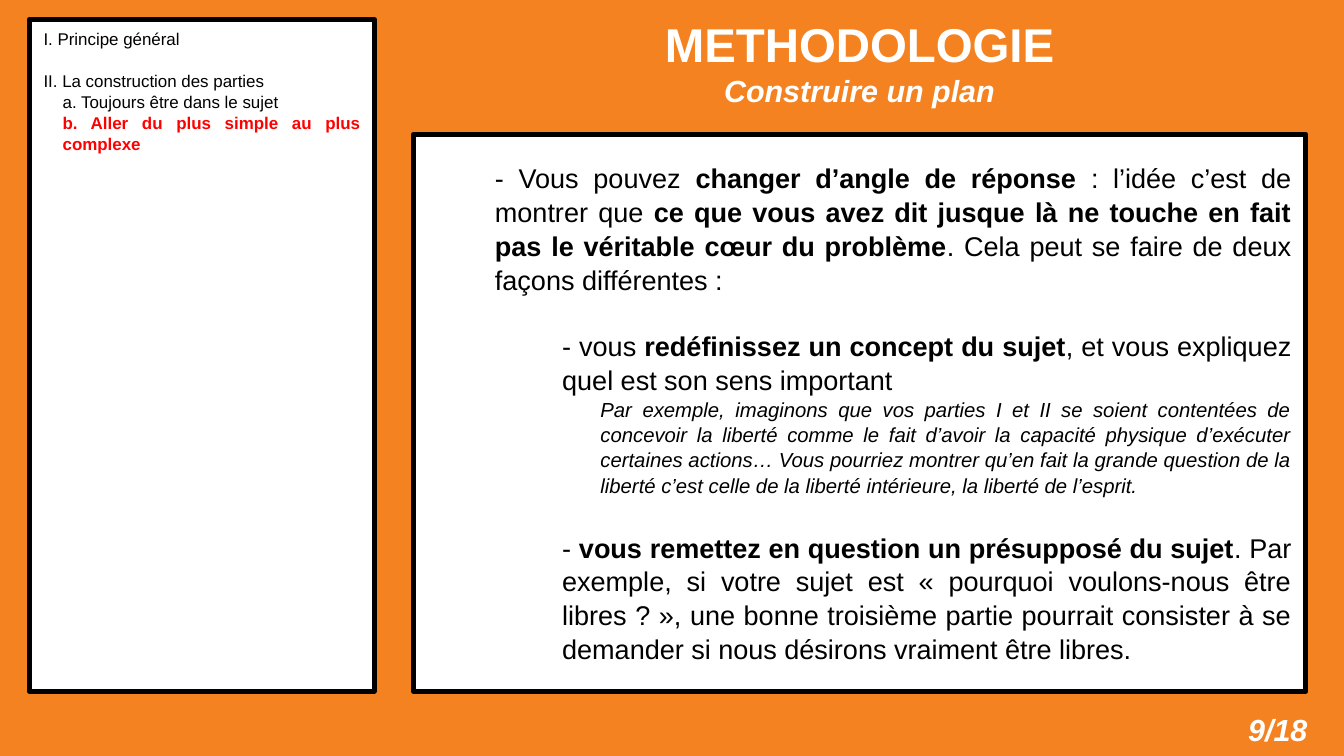
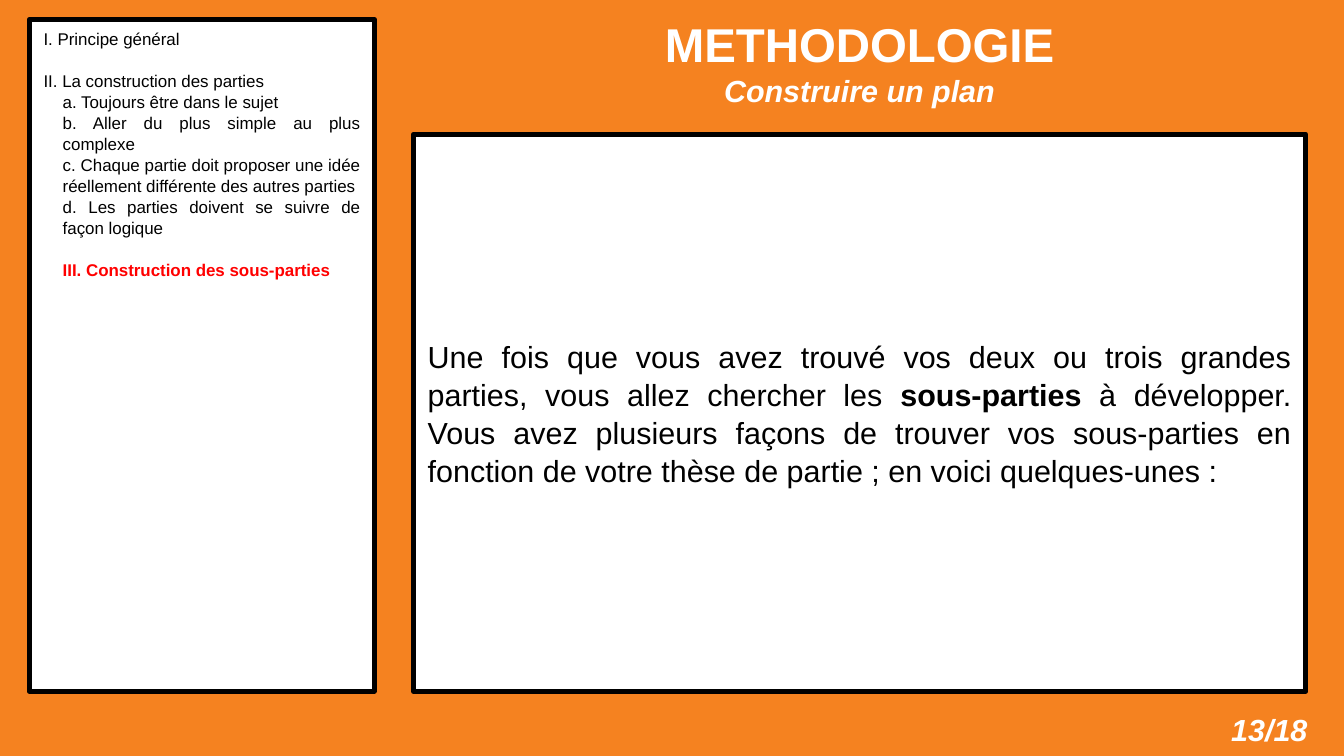
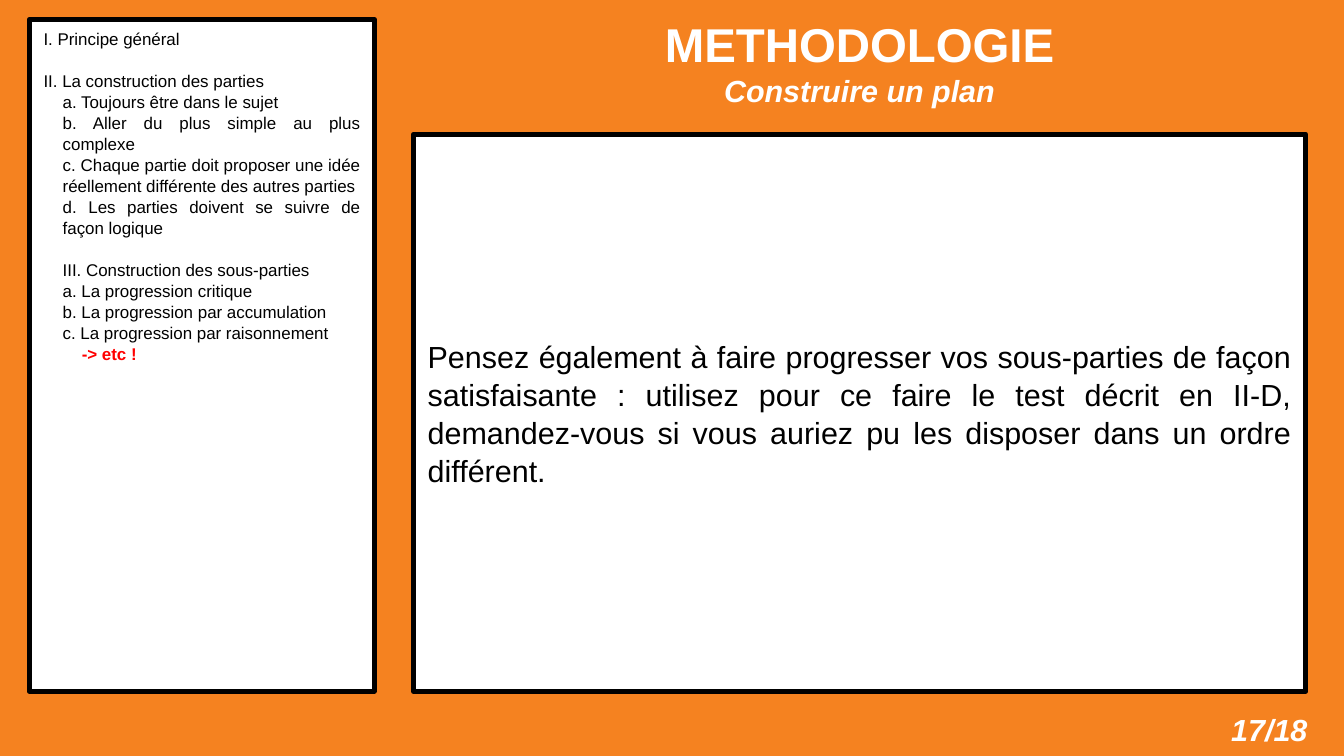
from dataclasses import dataclass
from typing import NamedTuple

from lxml import etree
from pptx import Presentation
from pptx.dml.color import RGBColor
from pptx.enum.text import MSO_ANCHOR, MSO_AUTO_SIZE, PP_ALIGN
from pptx.oxml.ns import qn
from pptx.util import Pt

# Shared style
ORANGE = RGBColor(0xF5, 0x82, 0x20)
WHITE = RGBColor(0xFF, 0xFF, 0xFF)
BLACK = RGBColor(0x00, 0x00, 0x00)
RED = RGBColor(0xFF, 0x00, 0x00)
FONT = "Arial"
LINE_SPACING = 1.04
BLANK_LINE = 1.2  # height of one line, as a multiple of the text size
PAGE_COUNT = 18


class Box(NamedTuple):
    left: float
    top: float
    width: float
    height: float


SLIDE_WIDTH, SLIDE_HEIGHT = 793.5, 446.4
TITLE_BOX = Box(244, 0, 527, 73.4)
OUTLINE_BOX = Box(17.2, 11.5, 203.8, 396.7)
CONTENT_BOX = Box(244, 79.2, 527, 329)
PAGE_BOX = Box(702.7, 416.2, 76.3, 32)


@dataclass(frozen=True)
class Passage:
    """One paragraph; words between ** marks are bold."""
    text: str
    size: float = 18
    indent: float = 0
    gap_before: float = 0
    italic: bool = False
    color: RGBColor = BLACK


@dataclass(frozen=True)
class Lesson:
    page: int
    outline_length: int  # the last outline entry reached is highlighted
    content: list[Passage]


class Entry(NamedTuple):
    text: str
    indent: float = 11.3
    starts_part: bool = False


OUTLINE = [
    Entry("I. Principe général", 0),
    Entry("II. La construction des parties", 0, True),
    Entry("a. Toujours être dans le sujet"),
    Entry("b. Aller du plus simple au plus complexe"),
    Entry("c. Chaque partie doit proposer une idée réellement différente des autres parties"),
    Entry("d. Les parties doivent se suivre de façon logique"),
    Entry("III. Construction des sous-parties", starts_part=True),
    Entry("a. La progression critique"),
    Entry("b. La progression par accumulation"),
    Entry("c. La progression par raisonnement"),
    Entry("-> etc !", 22.6),
]

LESSONS = [
    Lesson(9, 4, [
        Passage("- Vous pouvez **changer d’angle de réponse** : l’idée c’est de montrer que "
                "**ce que vous avez dit jusque là ne touche en fait pas le véritable cœur "
                "du problème**. Cela peut se faire de deux façons différentes :",
                16, 39.7),
        Passage("- vous **redéfinissez un concept du sujet**, et vous expliquez quel est "
                "son sens important", 16, 79.4, 16 * BLANK_LINE),
        Passage("Par exemple, imaginons que vos parties I et II se soient contentées de "
                "concevoir la liberté comme le fait d’avoir la capacité physique d’exécuter "
                "certaines actions… Vous pourriez montrer qu’en fait la grande question de "
                "la liberté c’est celle de la liberté intérieure, la liberté de l’esprit.",
                12, 102, italic=True),
        Passage("- **vous remettez en question un présupposé du sujet**. Par exemple, si "
                "votre sujet est « pourquoi voulons-nous être libres ? », une bonne "
                "troisième partie pourrait consister à se demander si nous désirons "
                "vraiment être libres.", 16, 79.4, 16 * BLANK_LINE),
    ]),
    Lesson(13, 7, [
        Passage("Une fois que vous avez trouvé vos deux ou trois grandes parties, vous "
                "allez chercher les **sous-parties** à développer. Vous avez plusieurs "
                "façons de trouver vos sous-parties en fonction de votre thèse de "
                "partie ; en voici quelques-unes :"),
    ]),
    Lesson(17, 11, [
        Passage("Pensez également à faire progresser vos sous-parties de façon "
                "satisfaisante : utilisez pour ce faire le test décrit en II-D, "
                "demandez-vous si vous auriez pu les disposer dans un ordre différent."),
    ]),
]


def place(shape, box: Box) -> None:
    shape.left, shape.top, shape.width, shape.height = map(Pt, box)


def style_run(run, size: float, color: RGBColor, bold: bool, italic: bool) -> None:
    font = run.font
    font.name, font.size = FONT, Pt(size)
    font.bold, font.italic = bold, italic
    font.color.rgb = color


def write_passage(paragraph, passage: Passage) -> None:
    paragraph.alignment = PP_ALIGN.JUSTIFY
    paragraph.line_spacing = LINE_SPACING
    paragraph.space_before = Pt(passage.gap_before)
    # Plain paragraph: own indent, no bullet
    properties = paragraph._p.get_or_add_pPr()
    properties.set("marL", str(Pt(passage.indent)))
    properties.set("indent", "0")
    etree.SubElement(properties, qn("a:buNone"))
    for position, words in enumerate(passage.text.split("**")):
        if words:
            run = paragraph.add_run()
            run.text = words
            style_run(run, passage.size, passage.color, position % 2 == 1, passage.italic)


def fill_panel(panel, box: Box, passages: list[Passage], anchor: MSO_ANCHOR) -> None:
    """White, black-framed panel holding justified paragraphs."""
    place(panel, box)
    panel.fill.solid()
    panel.fill.fore_color.rgb = WHITE
    panel.line.color.rgb = BLACK
    panel.line.width = Pt(2.83)
    frame = panel.text_frame
    frame.auto_size = MSO_AUTO_SIZE.NONE
    frame.vertical_anchor = anchor
    frame.margin_left = frame.margin_right = Pt(8.5)
    frame.margin_top = frame.margin_bottom = Pt(5)
    for position, passage in enumerate(passages):
        paragraph = frame.add_paragraph() if position else frame.paragraphs[0]
        write_passage(paragraph, passage)


def outline_passages(length: int) -> list[Passage]:
    passages = []
    for position, entry in enumerate(OUTLINE[:length], start=1):
        current = position == length
        passages.append(Passage(
            f"**{entry.text}**" if current else entry.text, 10, entry.indent,
            10 * BLANK_LINE if entry.starts_part else 0,
            color=RED if current else BLACK))
    return passages


def write_title(title) -> None:
    place(title, TITLE_BOX)
    frame = title.text_frame
    frame.text = "METHODOLOGIE\nConstruire un plan"
    frame.auto_size = MSO_AUTO_SIZE.NONE
    frame.vertical_anchor = MSO_ANCHOR.MIDDLE
    for paragraph, size, italic in zip(frame.paragraphs, (28, 18), (False, True)):
        paragraph.alignment = PP_ALIGN.CENTER
        style_run(paragraph.runs[0], size, WHITE, True, italic)


def add_page_number(slide, page: int) -> None:
    number = slide.shapes.add_textbox(*map(Pt, PAGE_BOX))
    frame = number.text_frame
    frame.word_wrap = True
    frame.text = f"{page}/{PAGE_COUNT}"
    frame.paragraphs[0].alignment = PP_ALIGN.RIGHT
    style_run(frame.paragraphs[0].runs[0], 18, WHITE, True, True)


def add_lesson(deck, lesson: Lesson) -> None:
    slide = deck.slides.add_slide(deck.slide_layouts.get_by_name("Two Content"))
    title, outline, content = slide.placeholders
    write_title(title)
    add_page_number(slide, lesson.page)
    fill_panel(outline, OUTLINE_BOX, outline_passages(lesson.outline_length), MSO_ANCHOR.TOP)
    fill_panel(content, CONTENT_BOX, lesson.content, MSO_ANCHOR.MIDDLE)


def main() -> None:
    deck = Presentation()
    deck.slide_width, deck.slide_height = Pt(SLIDE_WIDTH), Pt(SLIDE_HEIGHT)
    background = deck.slide_master.background.fill
    background.solid()
    background.fore_color.rgb = ORANGE
    for lesson in LESSONS:
        add_lesson(deck, lesson)
    deck.save("out.pptx")


if __name__ == "__main__":
    main()
